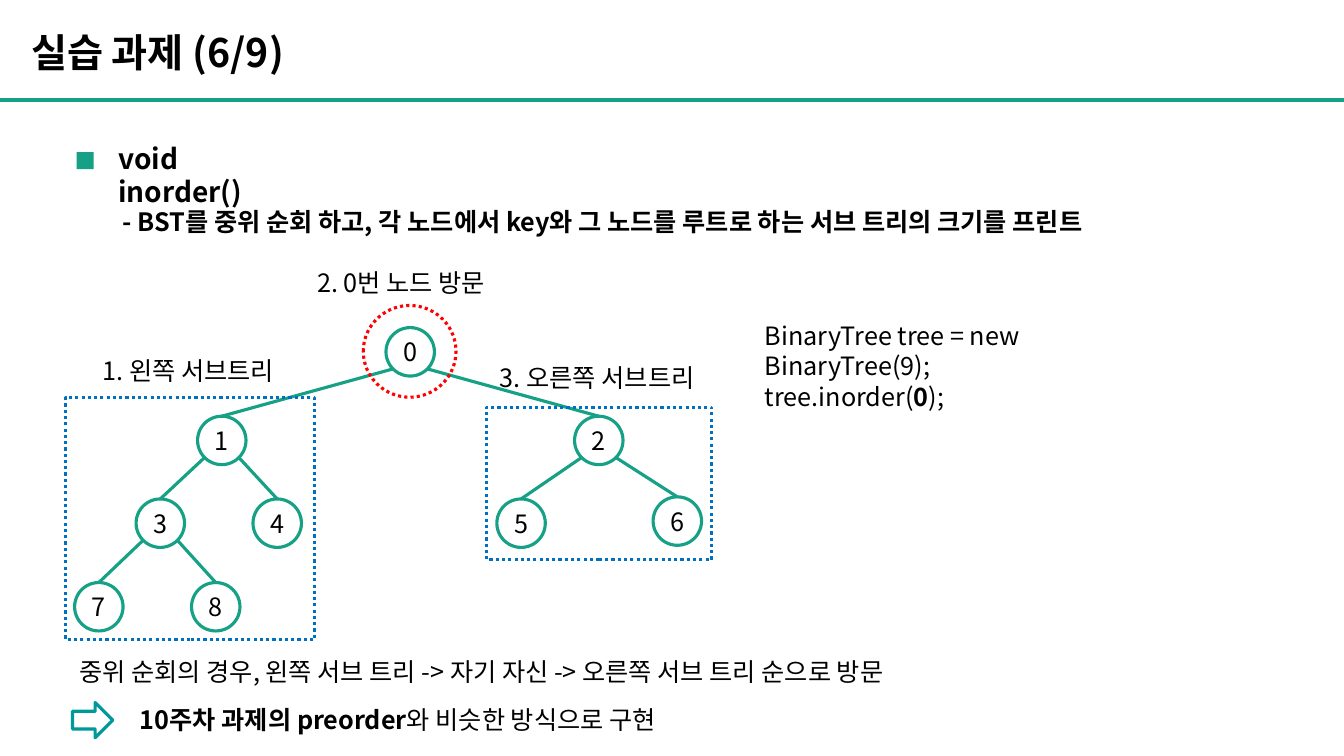
"""Build the slide on in-order traversal of a binary tree."""
from pptx import Presentation
from pptx.dml.color import RGBColor
from pptx.enum.dml import MSO_LINE
from pptx.enum.shapes import MSO_CONNECTOR, MSO_SHAPE as SHAPE
from pptx.enum.text import MSO_ANCHOR as ANCHOR, PP_ALIGN as ALIGN
from pptx.oxml.ns import qn
from pptx.util import Pt
from lxml.etree import SubElement

GREEN = RGBColor(0x16, 0xA0, 0x85)
TEAL = RGBColor(0x00, 0x99, 0x99)
RED = RGBColor(0xFF, 0x00, 0x00)
BLUE = RGBColor(0x00, 0x70, 0xC0)
BLACK = RGBColor(0x00, 0x00, 0x00)
FONT = "Noto Sans CJK KR"


def write(frame, *paragraphs, size=18, bold=False, align=ALIGN.LEFT, anchor=ANCHOR.TOP, wrap=True):
    """Fill a text frame; a paragraph is a string or a list of (text, bold) runs."""
    frame.word_wrap = wrap
    frame.vertical_anchor = anchor
    for index, content in enumerate(paragraphs):
        paragraph = frame.add_paragraph() if index else frame.paragraphs[0]
        paragraph.alignment = align
        runs = [(content, bold)] if isinstance(content, str) else content
        for text, heavy in runs:
            run = paragraph.add_run()
            run.text = text
            run.font.size, run.font.bold, run.font.name = Pt(size), heavy, FONT
            run.font.color.rgb = BLACK
            SubElement(run.font._element, qn("a:ea"), typeface=FONT)


def outline(preset, left, top, width, height, color, dash=None):
    """Add an unfilled preset shape with a coloured outline."""
    shape = slide.shapes.add_shape(preset, Pt(left), Pt(top), Pt(width), Pt(height))
    shape.shadow.inherit = False
    shape.fill.background()
    shape.line.color.rgb = color
    shape.line.width = Pt(2.25)
    if dash:
        shape.line.dash_style = dash
    return shape


deck = Presentation()
deck.slide_width, deck.slide_height = Pt(960), Pt(540)
slide = deck.slides.add_slide(deck.slide_layouts[5])

title = slide.shapes.title
title.left, title.top, title.width, title.height = Pt(15), Pt(16.5), Pt(731), Pt(41)
write(title.text_frame, "실습 과제 (6/9)", size=28, bold=True, anchor=ANCHOR.MIDDLE)

bullet = outline(SHAPE.RECTANGLE, 54.7, 108.7, 12.2, 12.2, GREEN)
bullet.fill.solid()
bullet.fill.fore_color.rgb = GREEN
bullet.line.fill.background()

DIAMETER = 34.6
RADIUS = DIAMETER / 2
DIAGONAL = 12.2
centers = [(293, 251.3), (158.4, 314.6), (427.7, 314.6), (114.5, 373.7), (198, 373.7),
           (372.2, 373.7), (483.8, 372.2), (70.6, 433.4), (154.1, 433.4)]
lines = [(0, 71.3, 960, 71.3, 3)]
for key, (x, y) in enumerate(centers):
    node = outline(SHAPE.OVAL, x - RADIUS, y - RADIUS, DIAMETER, DIAMETER, GREEN)
    frame = node.text_frame
    frame.margin_left = frame.margin_right = frame.margin_top = frame.margin_bottom = 0
    write(frame, str(key), align=ALIGN.CENTER, anchor=ANCHOR.MIDDLE, wrap=False)
    if key:
        parent_x, parent_y = centers[(key - 1) // 2]
        side = -DIAGONAL if key % 2 else DIAGONAL
        lines.append((x, y - RADIUS, parent_x + side, parent_y + DIAGONAL, 2.25))

for x1, y1, x2, y2, weight in lines:
    line = slide.shapes.add_connector(MSO_CONNECTOR.STRAIGHT, Pt(x1), Pt(y1), Pt(x2), Pt(y2))
    line.line.color.rgb = GREEN
    line.line.width = Pt(weight)
    SubElement(line._element.spPr, qn("a:effectLst"))

outline(SHAPE.OVAL, 259.5, 218.2, 66.2, 65.5, RED, MSO_LINE.ROUND_DOT)
outline(SHAPE.RECTANGLE, 46.8, 284, 178, 172.8, BLUE, MSO_LINE.ROUND_DOT)
outline(SHAPE.RECTANGLE, 347.6, 290.8, 160.8, 109, BLUE, MSO_LINE.ROUND_DOT)
outline(SHAPE.RIGHT_ARROW, 51.8, 501.8, 28.8, 25.2, TEAL)

passages = [
    (77.5, 97.2, 147, 31.7, ["void inorder()"], {"size": 20, "bold": True}),
    (80.6, 144, 785.5, 28.8,
     ["- BST를 중위 순회 하고, 각 노드에서 key와 그 노드를 루트로 하는 서브 트리의 크기를 프린트"],
     {"bold": True}),
    (219.6, 187.2, 149, 28.8, ["2. 0번 노드 방문"], {}),
    (66.2, 250.6, 150.5, 28.8, ["1. 왼쪽 서브트리"], {}),
    (350, 255.6, 168.5, 28.8, ["3. 오른쪽 서브트리"], {}),
    (539.3, 225.4, 313.2, 51.1,
     ["BinaryTree tree = new BinaryTree(9);",
      [("tree.inorder(", False), ("0", True), (");", False)]], {}),
    (49.7, 465.1, 681.8, 28.8,
     ["중위 순회의 경우, 왼쪽 서브 트리 -> 자기 자신 -> 오른쪽 서브 트리 순으로 방문"], {}),
    (92.9, 499.7, 415.4, 28.8,
     [[("10주차 과제의 preorder", True), ("와 비슷한 방식으로 구현", False)]], {}),
]
for left, top, width, height, paragraphs, style in passages:
    box = slide.shapes.add_textbox(Pt(left), Pt(top), Pt(width), Pt(height))
    write(box.text_frame, *paragraphs, **style)

deck.save("out.pptx")
